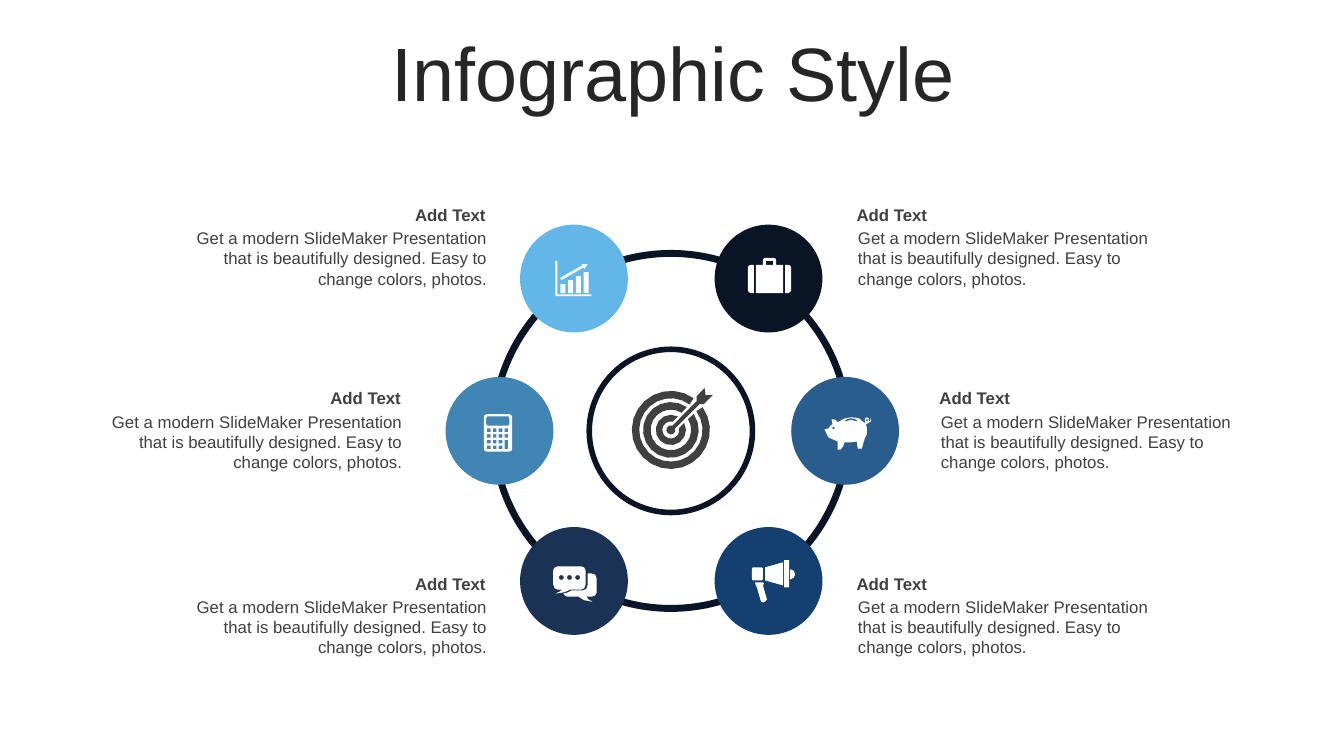
"""Build a slide with six icon bubbles on a ring around a target."""
from math import cos, radians, sin

from pptx import Presentation
from pptx.dml.color import RGBColor
from pptx.enum.shapes import MSO_SHAPE as Preset
from pptx.enum.text import MSO_ANCHOR as Anchor, PP_ALIGN as Align
from pptx.util import Pt

COLORS = {
    "white": "FFFFFF", "title": "262626", "text": "404040", "ring": "091424",
    "sky": "62B7E8", "steel": "4185B5", "blue": "285D8D", "royal": "134070", "navy": "1A3253",
}
FONT = "Arial"
BODY = ("Get a modern SlideMaker Presentation that is beautifully designed. "
        "Easy to change colors, photos.")
BUBBLE_SIZE = 77
LABEL_WIDTH = 230
CENTER = (479.2, 307.8)


def color(name):
    return RGBColor.from_string(COLORS[name])


def add_text(slide, box, text, size, color_name, align, bold=False, anchor=Anchor.TOP):
    shape = slide.shapes.add_textbox(*map(Pt, box))
    frame = shape.text_frame
    frame.word_wrap = True
    frame.vertical_anchor = anchor
    paragraph = frame.paragraphs[0]
    paragraph.text = text
    paragraph.alignment = align
    paragraph.font.name = FONT
    paragraph.font.size = Pt(size)
    paragraph.font.bold = bold
    paragraph.font.color.rgb = color(color_name)
    return paragraph


def paint(shape, fill):
    shape.shadow.inherit = False
    shape.fill.solid()
    shape.fill.fore_color.rgb = color(fill)
    shape.line.fill.background()


def add_round(slide, center, size, fill, preset=Preset.OVAL):
    x, y = center
    shape = slide.shapes.add_shape(preset, Pt(x - size / 2), Pt(y - size / 2), Pt(size), Pt(size))
    paint(shape, fill)
    return shape


def add_icon(slide, center, contours, fill):
    points = [[(Pt(center[0] + x), Pt(center[1] + y)) for x, y in contour]
              for contour in contours]
    builder = slide.shapes.build_freeform(*points[0][0], scale=1.0)
    builder.add_line_segments(points[0][1:], close=True)
    for contour in points[1:]:
        builder.move_to(*contour[0])
        builder.add_line_segments(contour[1:], close=True)
    paint(builder.convert_to_shape(), fill)


def add_label(slide, left, top, align):
    add_text(slide, (left, top, LABEL_WIDTH, 21.6), "Add Text", 12, "text", align, bold=True)
    add_text(slide, (left + 1, top + 16.8, LABEL_WIDTH, 51), BODY, 12, "text", align)


def outline(*steps):
    """Turn points (x, y) and cubic curves (x1, y1, x2, y2, x, y) into a polygon."""
    points = []
    for step in steps:
        if len(step) == 6:
            x, y = points[-1]
            x1, y1, x2, y2, end_x, end_y = step
            points.append(((x + 3 * x1 + 3 * x2 + end_x) / 8, (y + 3 * y1 + 3 * y2 + end_y) / 8))
        points.append(step[-2:])
    return points


def arc(radius, start, end, steps, center=(0, 0)):
    angles = [radians(start + (end - start) * i / steps) for i in range(steps + 1)]
    return [(center[0] + radius * cos(a), center[1] - radius * sin(a)) for a in angles]


def circle(x, y, radius):
    return arc(radius, 0, 315, 7, (x, y))


def box(left, top, width, height, radius=0):
    right, bottom = left + width, top + height
    if not radius:
        return [(left, top), (right, top), (right, bottom), (left, bottom)]
    corners = ((right - radius, top + radius, 90), (right - radius, bottom - radius, 0),
               (left + radius, bottom - radius, -90), (left + radius, top + radius, -180))
    return [point for x, y, start in corners
            for point in arc(radius, start, start - 90, 2, (x, y))]


def chart_icon():
    bars = [box(-9.7 + 5.5 * i, 4 - 2.9 * i, 3.6, 6.4 + 2.9 * i) for i in range(4)]
    arrow = [(5.4, -10.4), (9.7, -10.4), (7.4, -6.8), (6.8, -7.9),
             (-9, 1.1), (-9.9, -0.6), (5.9, -9.4)]
    axes = [(-13.3, -12.6), (-11.9, -12.6), (-11.9, 11.2), (12.4, 11.2),
            (12.4, 12.6), (-13.3, 12.6)]
    return bars + [arrow, axes]


def briefcase_icon():
    sides = [outline((0.7 + s * 11.2, -9.7), (0.7 + s * 13.4, -9.7),
                     (0.7 + s * 14.8, -9.7, 0.7 + s * 15.5, -9, 0.7 + s * 15.5, -7.6),
                     (0.7 + s * 15.5, 7.6),
                     (0.7 + s * 15.5, 9, 0.7 + s * 14.8, 10.4, 0.7 + s * 13.4, 10.4),
                     (0.7 + s * 11.2, 10.4)) for s in (-1, 1)]
    middle = outline((-9, -9.7), (-4, -9.7), (-4, -13.3), (-4, -14, -3.2, -14.8, -2.5, -14.8),
                     (4, -14.8), (4.7, -14.8, 5.4, -14, 5.4, -13.3), (5.4, -9.7),
                     (10.4, -9.7), (10.4, 10.4), (-9, 10.4))
    return sides + [middle, box(-1.8, -12.6, 5, 2.9)]


def calculator_icon():
    keys = [box(-9 + 4.2 * column, -1.8 + 4.1 * row, 2.6, 2.6)
            for row in range(4) for column in range(4 if row < 2 else 3)]
    return [box(-11.2, -11.9, 20.2, 26.7, 2), box(-9.5, -10.4, 16.6, 6.6, 1.2),
            box(3.6, 6.4, 2.6, 6.7)] + keys


def pig_icon():
    body = outline(
        (4, -9.7), (7.6, -10.4, 11.9, -9, 13.3, -6.1), (14.8, -5.4),
        (14, -7.6), (14, -9, 14.8, -9.7, 15.5, -9.7),
        (16.9, -9.7, 16.9, -9, 16.9, -6.8),
        (17.6, -7.6, 18.4, -6.8, 18.4, -9.7), (19.1, -6.8, 18.4, -6.1, 16.2, -5.4),
        (14.8, -4.7), (15.5, -2.5), (16.2, 1.1, 15.5, 4, 14, 5.4),
        (11.9, 12.6), (9, 12.6), (8.3, 7.6), (5.4, 8.3, 1.8, 8.3, -0.4, 8.3),
        (-0.4, 9.7, -1.8, 11.9, -3.2, 13.3), (-5.4, 13.3), (-5.4, 7.6),
        (-9, 6.1, -16.2, 4, -14.8, -1.1), (-11.9, -1.8),
        (-11.2, -3.2, -10.4, -4, -9, -4.7), (-9.7, -8.3),
        (-6.8, -9, -6.8, -7.6, -5.4, -6.1), (-3.2, -8.3, 1.1, -9.7, 4, -9.7))
    slot = outline((4, -9), (2.5, -8.8, 1.1, -8.3, -0.4, -7.6), (0.2, -6.8),
                   (2.5, -8.3, 6.1, -8.3, 8.3, -6.8), (8.8, -7.6), (7.6, -8.3, 6.1, -9, 4, -9))
    return [body, slot, circle(-8.3, -2, 0.9), circle(15.5, -7.6, 0.8)]


def chat_icon():
    front = outline(
        (-11.9, -10.4), (5.4, -10.4), (6.8, -10.4, 8.3, -9, 8.3, -7.6), (8.3, 2.5),
        (8.3, 4.7, 6.8, 6.1, 5.4, 6.1), (-2.5, 6.1), (-6.1, 8.3, -7.6, 8.3, -13.3, 9),
        (-10.4, 7.6, -9.7, 7.6, -8.3, 6.1), (-11.9, 6.1), (-13.3, 6.1, -14.8, 4.7, -14.8, 2.5),
        (-14.8, -7.6), (-14.8, -9, -13.3, -10.4, -11.9, -10.4))
    back = outline(
        (9.7, -5.4), (12.6, -5.4), (14.8, -5.4, 16.2, -4, 16.2, -1.8), (16.2, 8.3),
        (16.2, 9.7, 14.8, 11.2, 12.6, 11.2), (9, 11.2), (9.7, 12.6, 9.7, 13.3, 13.3, 14.8),
        (7.6, 14, 6.1, 14, 3.2, 11.2), (-4.7, 11.2), (-5.4, 11.2, -6.8, 10.4, -7.6, 9),
        (-5.4, 9, -3.2, 7.6, -1.8, 6.8), (6.1, 6.8), (8.3, 6.8, 9.7, 5.4, 9.7, 3.2))
    return [front, back] + [circle(-9 + 5.8 * i, -2.5, 1.8) for i in range(3)]


def megaphone_icon():
    handle = [(-4, 1.1), (-3.2, 1.8), (-4, 3.2), (-1.1, 13.3), (-2.5, 14.8),
              (-4, 15.3), (-5.4, 14.8), (-8.3, 4.7), (-9, 3.2), (-9.7, 1.1)]
    cap = outline((15.5, -8.3), (17.6, -8.3, 19, -6.8, 19, -4.7), (19, -3.2, 17.6, -1.1, 15.5, -1.1))
    cone = [(10.4, -13.3), (10.4, 3.2), (-2.5, -0.4), (-2.5, -9.7)]
    return [handle, cap, cone, box(-11.9, -9.7, 7.9, 9.3, 1), box(11.2, -14.8, 3.6, 19.4)]


def target_icon():
    rings = [arc(outer, 45 + outer_gap, 405 - outer_gap, steps)
             + arc(inner, 405 - inner_gap, 45 + inner_gap, steps)
             for outer, inner, outer_gap, inner_gap, steps in
             ((27.9, 22.6, 9.5, 8.5, 22), (19.9, 14.5, 10, 13, 18), (10.8, 6.1, 17.5, 32, 12))]
    arrow = [(18.4, -20.5), (18.4, -24.1), (24.1, -29.9), (24.8, -24.8), (29.9, -24.8),
             (23.4, -18.4), (20.5, -18.4)] + arc(3.2, 20, -290, 8)
    return rings + [arrow]


def main():
    presentation = Presentation()
    presentation.slide_width, presentation.slide_height = Pt(960), Pt(540)
    slide = presentation.slides.add_slide(presentation.slide_layouts[6])
    title = add_text(slide, (25.2, 26.6, 911.5, 56.9), "Infographic Style", 54, "title",
                     Align.CENTER, anchor=Anchor.MIDDLE)
    title.line_spacing = 0.9
    for top, left, right in ((142.5, 124, 604.8), (273.5, 63.5, 664), (406, 124, 604.8)):
        add_label(slide, left, top, Align.RIGHT)
        add_label(slide, right, top, Align.LEFT)
    hub = add_round(slide, CENTER, 116.6, "white")
    hub.line.color.rgb = color("ring")
    hub.line.width = Pt(4)
    ring = add_round(slide, CENTER, 258.5, "ring", Preset.DONUT)
    ring.adjustments[0] = 0.019
    for x, y, fill, icon in (
            (410, 199, "sky", chart_icon), (549, 199, "ring", briefcase_icon),
            (356.8, 307.8, "steel", calculator_icon), (603.7, 307.8, "blue", pig_icon),
            (549, 415, "royal", megaphone_icon), (410, 415, "navy", chat_icon)):
        add_round(slide, (x, y), BUBBLE_SIZE, fill)
        add_icon(slide, (x, y), icon(), "white")
    add_icon(slide, (479.2, 307.1), target_icon(), "text")
    presentation.save("out.pptx")


if __name__ == "__main__":
    main()
